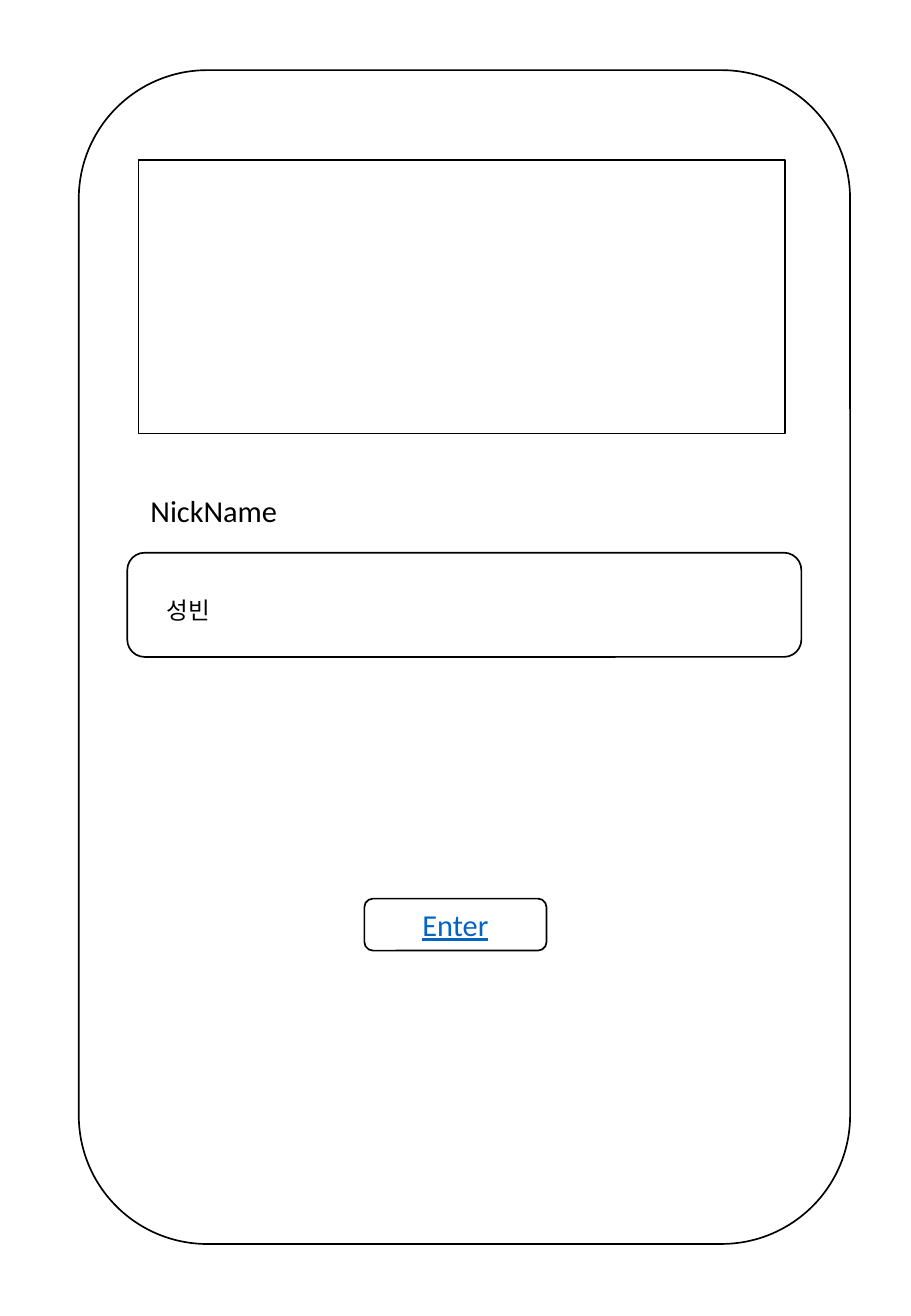
from pptx import Presentation
from pptx.dml.color import RGBColor
from pptx.enum.shapes import MSO_SHAPE as Shape
from pptx.enum.text import MSO_ANCHOR as Anchor, MSO_AUTO_SIZE as AutoSize, PP_ALIGN as Align
from pptx.util import Inches, Pt

deck = Presentation()
deck.slide_width, deck.slide_height = Inches(7.5), Inches(10.83)
page = deck.slides.add_slide(deck.slide_layouts[6])


def place(left, top, width, height):
    """Turn percentages of the slide's size into lengths."""
    across, down = deck.slide_width / 100, deck.slide_height / 100
    return round(left * across), round(top * down), round(width * across), round(height * down)


def write(box, text, size, color):
    para = box.text_frame.paragraphs[0]
    span = para.add_run()
    span.text = text
    span.font.name = "Calibri"
    span.font.size = Pt(size)
    span.font.color.rgb = RGBColor.from_string(color)
    return para


# Outlined panels: screen, nickname field, banner, button
panels = [
    (Shape.ROUNDED_RECTANGLE, (8.65, 5.33, 84.67, 89.2)),
    (Shape.ROUNDED_RECTANGLE, (13.97, 42, 74, 7.92)),
    (Shape.RECTANGLE, (15.2, 12.17, 70.95, 20.78)),
    (Shape.ROUNDED_RECTANGLE, (40, 68.28, 20, 3.95)),
]
for kind, area in panels:
    panel = page.shapes.add_shape(kind, *place(*area))
    panel.shadow.inherit = False
    panel.fill.solid()
    panel.fill.fore_color.rgb = RGBColor.from_string("FFFFFF")
    panel.line.color.rgb = RGBColor.from_string("000000")
    panel.line.width = Pt(1)

# The button is the last panel drawn
button = panel
button.text_frame.vertical_anchor = Anchor.MIDDLE
caption = write(button, "Enter", 18, "0563C1")
caption.alignment = Align.CENTER
caption.runs[0].font.underline = True

# Field label and its value
labels = [
    ("NickName", 18, (15.2, 36.93, 50.4, 3.69)),
    ("성빈", 14, (16.95, 44.83, 62.93, 3.14)),
]
for text, size, area in labels:
    box = page.shapes.add_textbox(*place(*area))
    box.text_frame.word_wrap = True
    box.text_frame.auto_size = AutoSize.SHAPE_TO_FIT_TEXT
    write(box, text, size, "000000")

deck.save("out.pptx")
